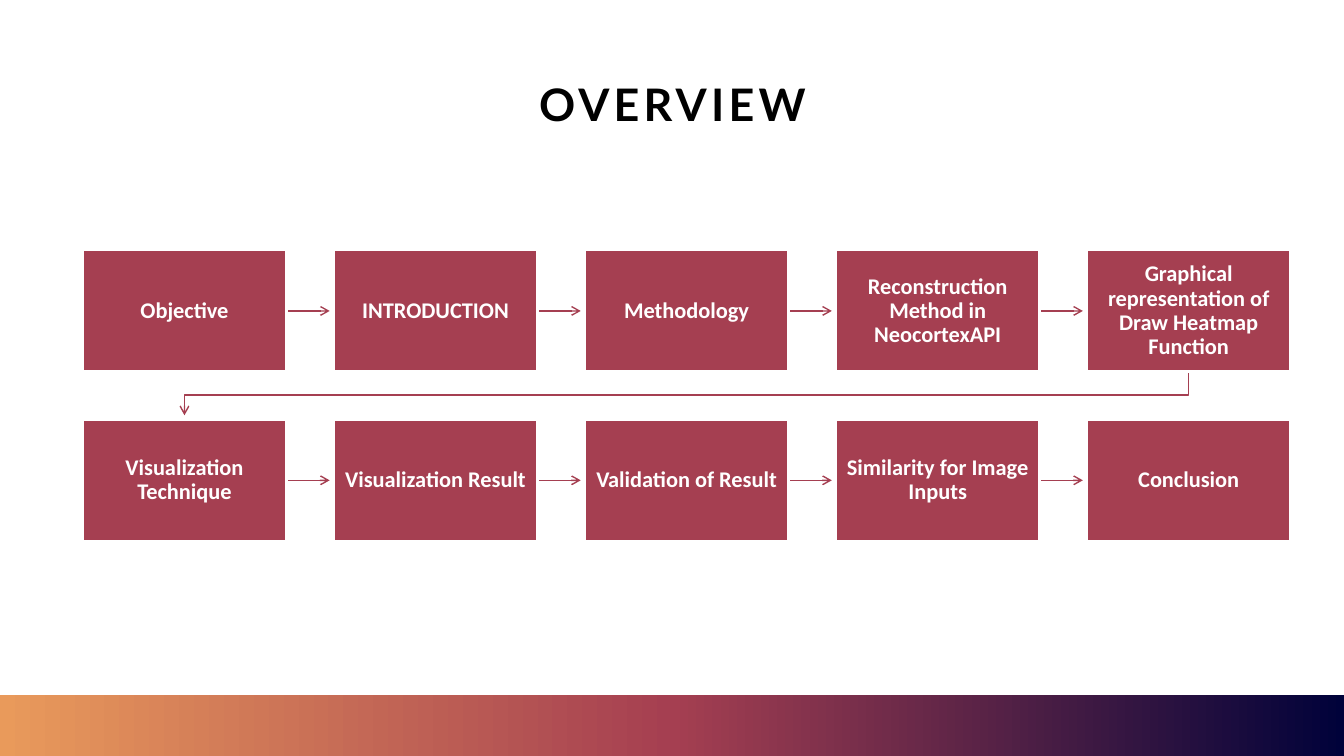
from copy import deepcopy
from dataclasses import dataclass

from lxml import etree
from pptx import Presentation
from pptx.dml.color import RGBColor
from pptx.enum.shapes import MSO_CONNECTOR, MSO_SHAPE
from pptx.enum.text import MSO_ANCHOR, MSO_AUTO_SIZE, PP_ALIGN
from pptx.oxml.ns import qn
from pptx.util import Pt

EMU_PER_PX = 9144
SLIDE_WIDTH, SLIDE_HEIGHT = 1333, 750
TITLE_ONLY_LAYOUT = 5
RECTANGLE = MSO_SHAPE.RECTANGLE
STRAIGHT = MSO_CONNECTOR.STRAIGHT
MIDDLE = MSO_ANCHOR.MIDDLE
CENTER = PP_ALIGN.CENTER
NO_AUTOFIT = MSO_AUTO_SIZE.NONE
RIGHT_SIDE = 3

COLUMNS = 5
BOX_LEFT, BOX_TOP = 82, 248
BOX_WIDTH, BOX_HEIGHT = 202, 121
COLUMN_PITCH, ROW_PITCH = 249, 168
ARROW_LENGTH = 43
TURN_DROP, TURN_LENGTH = 23, 43

TOPICS = [
    "Objective",
    "INTRODUCTION",
    "Methodology",
    "Reconstruction Method in NeocortexAPI",
    "Graphical representation of Draw Heatmap Function",
    "Visualization Technique",
    "Visualization Result",
    "Validation of Result",
    "Similarity for Image Inputs",
    "Conclusion",
]


def px(length):
    return length * EMU_PER_PX


@dataclass(frozen=True)
class Theme:
    title_font: str = "Lato"
    body_font: str = "Calibri"
    title_size: int = 32
    body_size: int = 16
    title_spacing: int = 3
    line_spacing: float = 0.9
    arrow_width: int = 1
    outline_width: int = 2
    black: RGBColor = RGBColor(0x00, 0x00, 0x00)
    white: RGBColor = RGBColor(0xFF, 0xFF, 0xFF)
    accent: RGBColor = RGBColor(0xA5, 0x3F, 0x51)
    navy: RGBColor = RGBColor(0x00, 0x02, 0x3A)
    orange: RGBColor = RGBColor(0xE9, 0x9A, 0x5B)


class OverviewSlide:
    def __init__(self, presentation, theme):
        self.theme = theme
        layout = presentation.slide_layouts[TITLE_ONLY_LAYOUT]
        self.slide = presentation.slides.add_slide(layout)
        self.shapes = self.slide.shapes

    def add_text(self, text_frame, text, font_name, size, color):
        text_frame.word_wrap = True
        text_frame.auto_size = NO_AUTOFIT
        text_frame.vertical_anchor = MIDDLE
        paragraph = text_frame.paragraphs[0]
        paragraph.alignment = CENTER
        paragraph.line_spacing = self.theme.line_spacing
        run = paragraph.add_run()
        run.text = text
        run.font.name = font_name
        run.font.size = Pt(size)
        run.font.bold = True
        run.font.color.rgb = color
        return run

    def add_title(self, text, left, top, width, height):
        theme = self.theme
        title = self.shapes.title
        title.left, title.top = px(left), px(top)
        title.width, title.height = px(width), px(height)
        run = self.add_text(title.text_frame, text, theme.title_font,
                            theme.title_size, theme.black)
        run.font._element.set("spc", str(theme.title_spacing * 100))

    def add_rectangle(self, left, top, width, height):
        shape = self.shapes.add_shape(RECTANGLE, px(left), px(top),
                                      px(width), px(height))
        shape.shadow.inherit = False
        return shape

    def add_box(self, text, left, top):
        theme = self.theme
        box = self.add_rectangle(left, top, BOX_WIDTH, BOX_HEIGHT)
        box.fill.solid()
        box.fill.fore_color.rgb = theme.accent
        box.line.color.rgb = theme.white
        box.line.width = Pt(theme.outline_width)
        frame = box.text_frame
        frame.margin_left = frame.margin_right = px(10)
        frame.margin_top = frame.margin_bottom = px(10)
        self.add_text(frame, text, theme.body_font, theme.body_size, theme.white)
        return box

    def style_arrow(self, arrow, box):
        arrow.line.color.rgb = self.theme.accent
        arrow.line.width = Pt(self.theme.arrow_width)
        line = arrow.line._get_or_add_ln()
        etree.SubElement(line, qn("a:tailEnd"), type="arrow")
        box._element.addprevious(arrow._element)

    def add_arrow(self, box, left, top):
        arrow = self.shapes.add_connector(STRAIGHT, px(left), px(top),
                                          px(left + ARROW_LENGTH), px(top))
        arrow.begin_connect(box, RIGHT_SIDE)
        arrow.end_y = arrow.begin_y
        self.style_arrow(arrow, box)
        etree.SubElement(arrow._element.spPr, qn("a:effectLst"))

    def add_turn_arrow(self, box, points):
        builder = self.shapes.build_freeform(*points[0], scale=EMU_PER_PX)
        builder.add_line_segments(points[1:], close=False)
        arrow = builder.convert_to_shape()
        arrow.shadow.inherit = False
        arrow.fill.background()
        self.style_arrow(arrow, box)

    def add_gradient_band(self, left, top, width, height, colors):
        band = self.add_rectangle(left, top, width, height)
        band.line.fill.background()
        band.fill.gradient()
        band.fill.gradient_angle = 180
        stop_list = band._element.spPr.find(".//" + qn("a:gsLst"))
        while len(stop_list) < len(colors):
            stop_list.append(deepcopy(stop_list[0]))
        for index, (stop, color) in enumerate(zip(band.fill.gradient_stops, colors)):
            stop.position = index / (len(colors) - 1)
            stop.color.rgb = color


def main():
    presentation = Presentation()
    presentation.slide_width = px(SLIDE_WIDTH)
    presentation.slide_height = px(SLIDE_HEIGHT)
    theme = Theme()
    overview = OverviewSlide(presentation, theme)
    overview.add_title("OVERVIEW", 92, 48, 1150, 116)

    for index, topic in enumerate(TOPICS):
        row, column = divmod(index, COLUMNS)
        left = BOX_LEFT + column * COLUMN_PITCH
        top = BOX_TOP + row * ROW_PITCH
        box = overview.add_box(topic, left, top)
        if column < COLUMNS - 1:
            overview.add_arrow(box, left + BOX_WIDTH, top + BOX_HEIGHT // 2)
        elif index < len(TOPICS) - 1:
            start_x = left + BOX_WIDTH // 2
            end_x = BOX_LEFT + BOX_WIDTH // 2
            bottom = top + BOX_HEIGHT
            overview.add_turn_arrow(box, [
                (start_x, bottom),
                (start_x, bottom + TURN_DROP),
                (end_x, bottom + TURN_DROP),
                (end_x, bottom + TURN_LENGTH),
            ])

    overview.add_gradient_band(0, 689, SLIDE_WIDTH, 61,
                               [theme.navy, theme.accent, theme.orange])
    presentation.save("out.pptx")


if __name__ == "__main__":
    main()
